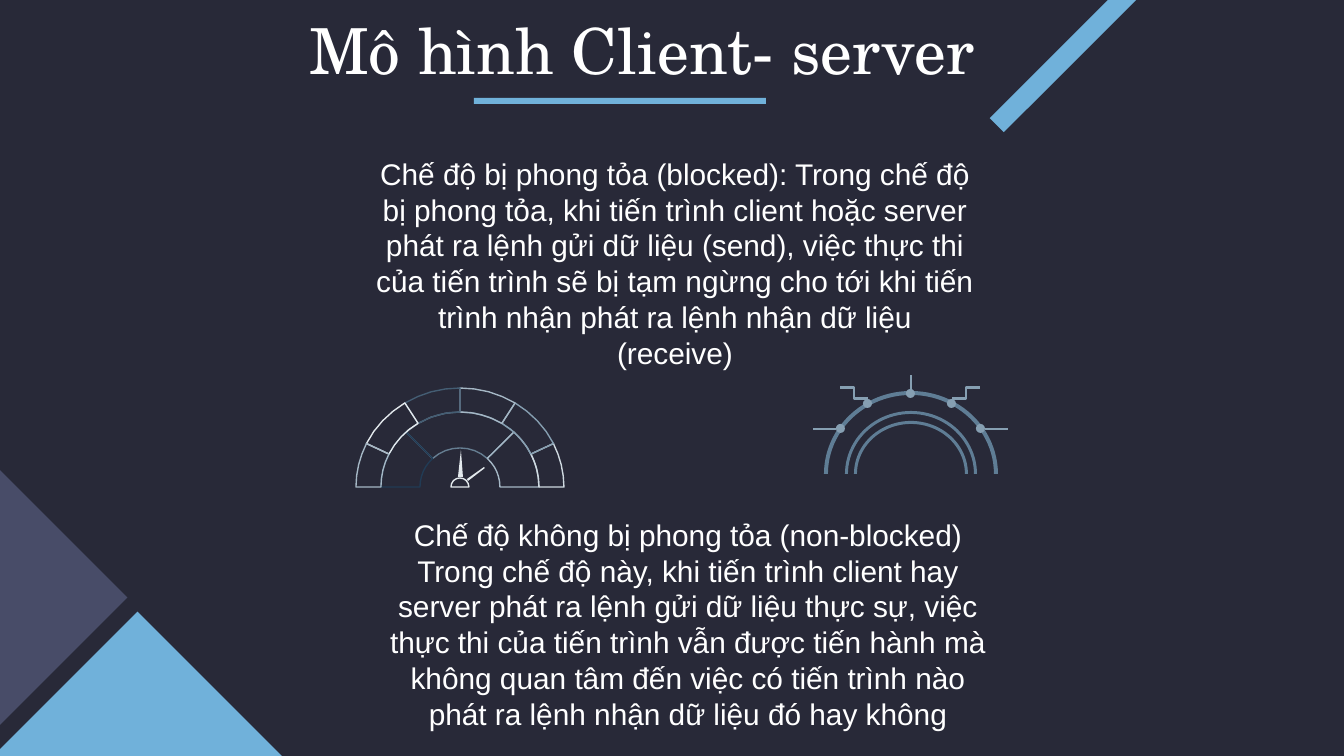
import math
import pptx
import pptx.util
import pptx.dml.color
import pptx.enum.shapes
import pptx.enum.text
import pptx.oxml.ns

RGBColor = pptx.dml.color.RGBColor
SHAPE = pptx.enum.shapes.MSO_SHAPE
CONNECTOR = pptx.enum.shapes.MSO_CONNECTOR
PX = 9144000 / 1344

NAVY = RGBColor(0x28, 0x29, 0x38)
PURPLE = RGBColor(0x48, 0x4C, 0x68)
BLUE = RGBColor(0x70, 0xB1, 0xDA)
WHITE = RGBColor(0xFF, 0xFF, 0xFF)
ARCH = RGBColor(0x5F, 0x7D, 0x95)
NODE = RGBColor(0x86, 0x9F, 0xB2)
ICE = RGBColor(0xE3, 0xE9, 0xED)
PALE = RGBColor(0xCF, 0xD9, 0xE0)
MIST = RGBColor(0xA5, 0xB7, 0xC5)
STEEL = RGBColor(0x86, 0x9F, 0xB1)
SLATE = RGBColor(0x66, 0x7E, 0x92)
DUSK = RGBColor(0x44, 0x5D, 0x73)
DEEP = RGBColor(0x21, 0x3B, 0x55)


def px(*lengths):
    return [round(length * PX) for length in lengths]


def outline(points, fill=None, line=None):
    """Draw a closed polygon in px, precise to a tenth."""
    tenths = [(x * 10, y * 10) for x, y in points]
    builder = page.shapes.build_freeform(*tenths[0], scale=PX / 10)
    builder.add_line_segments(tenths[1:], close=True)
    shape = builder.convert_to_shape()
    shape.shadow.inherit = False
    if fill is None:
        shape.fill.background()
    else:
        shape.fill.solid()
        shape.fill.fore_color.rgb = fill
    if line is None:
        shape.line.fill.background()
    else:
        shape.line.color.rgb = line
        shape.line.width = pptx.util.Pt(0.75)


deck = pptx.Presentation()
deck.slide_width, deck.slide_height = px(1344, 756)
page = deck.slides.add_slide(deck.slide_layouts[6])
page.background.fill.solid()
page.background.fill.fore_color.rgb = NAVY

# Corner decorations, title underline, arches and the nodes on the outer arch
nodes = [(868, 404), (952, 404), (911, 394), (841, 429), (981, 429)]
solids = [
    (SHAPE.RECTANGLE, -277, 430, 335, 335, 45, PURPLE),
    (SHAPE.RECTANGLE, -30, 681, 335, 335, 45, BLUE),
    (SHAPE.RECTANGLE, 1090, -124, 20, 292, 45, BLUE),
    (SHAPE.RECTANGLE, 474, 98, 292, 6, 0, BLUE),
    (SHAPE.BLOCK_ARC, 824, 391, 174, 166, 0, ARCH),
    (SHAPE.BLOCK_ARC, 845, 411, 132, 126, 0, ARCH),
    (SHAPE.BLOCK_ARC, 854, 421, 114, 106, 0, ARCH),
] + [(SHAPE.OVAL, x - 5, y - 5, 9, 9, 0, NODE) for x, y in nodes]
for kind, left, top, width, height, angle, color in solids:
    shape = page.shapes.add_shape(kind, *px(left, top, width, height))
    shape.rotation = angle
    shape.shadow.inherit = False
    shape.fill.solid()
    shape.fill.fore_color.rgb = color
    shape.line.fill.background()
    if kind == SHAPE.BLOCK_ARC:
        thickness = 4 if width > 150 else 3
        shape.adjustments[2] = thickness / height

# Title and the two descriptions
LEFT, CENTER = pptx.enum.text.PP_ALIGN.LEFT, pptx.enum.text.PP_ALIGN.CENTER
TOP, BOTTOM = pptx.enum.text.MSO_ANCHOR.TOP, pptx.enum.text.MSO_ANCHOR.BOTTOM
texts = [
    (296, 31, 712, 70, "TeX Gyre Schola", 34, LEFT, BOTTOM,
     "Mô hình Client- server"),
    (363, 142, 624, 54, "Arial", 16, CENTER, TOP,
     "Chế độ bị phong tỏa (blocked): Trong chế độ bị phong tỏa, khi tiến trình "
     "client hoặc server phát ra lệnh gửi dữ liệu (send), việc thực thi của tiến "
     "trình sẽ bị tạm ngừng cho tới khi tiến trình nhận phát ra lệnh nhận dữ liệu "
     "(receive)"),
    (376, 503, 624, 54, "Arial", 16, CENTER, TOP,
     "Chế độ không bị phong tỏa (non-blocked) Trong chế độ này, khi tiến trình "
     "client hay server phát ra lệnh gửi dữ liệu thực sự, việc thực thi của tiến "
     "trình vẫn được tiến hành mà không quan tâm đến việc có tiến trình nào phát "
     "ra lệnh nhận dữ liệu đó hay không"),
]
for left, top, width, height, font, size, align, anchor, words in texts:
    box = page.shapes.add_textbox(*px(left, top, width, height))
    frame = box.text_frame
    frame.word_wrap = True
    frame.vertical_anchor = anchor
    frame.margin_left = frame.margin_right = pptx.util.Inches(0.1)
    frame.margin_top = frame.margin_bottom = pptx.util.Inches(0.1)
    para = frame.paragraphs[0]
    para.text = words
    para.alignment = align
    para.font.name = font
    para.font.size = pptx.util.Pt(size)
    para.font.color.rgb = WHITE

# Gauge bands: outer radii, inner radii, start and end angle, line
rim, middle, hub, dome, pivot = (104, 99), (79, 75), (40, 39), (9, 9), (0, 0)
bands = [
    (middle, hub, 47, 133, SLATE),
    (middle, hub, 133, 180, DEEP),
    (middle, hub, 0, 47, MIST),
    (rim, middle, 0, 26, PALE),
    (rim, middle, 26, 58, STEEL),
    (rim, middle, 58, 90, MIST),
    (rim, middle, 90, 122, DUSK),
    (rim, middle, 122, 154, ICE),
    (rim, middle, 154, 180, MIST),
    (dome, pivot, 0, 180, ICE),
]
for outer, inner, start, end, line in bands:
    steps = min(8, math.ceil((end - start) / 8))
    angles = [math.radians(start + (end - start) * i / steps) for i in range(steps + 1)]
    edges = [(outer, a) for a in angles]
    if inner != pivot:
        edges += [(inner, a) for a in reversed(angles)]
    outline([(460 + rx * math.cos(a), 487 - ry * math.sin(a)) for (rx, ry), a in edges],
            line=line)

# Gauge needles
outline([(461, 450), (458, 477), (463, 477)], fill=ICE)
outline([(484, 467), (467, 479), (468, 481), (485, 468)], fill=ICE)

# Leads from the nodes
leads = [
    (CONNECTOR.ELBOW, 868, 399, 840, 388),
    (CONNECTOR.ELBOW, 952, 399, 980, 388),
    (CONNECTOR.STRAIGHT, 911, 390, 911, 375),
    (CONNECTOR.STRAIGHT, 836, 429, 813, 429),
    (CONNECTOR.STRAIGHT, 985, 429, 1008, 429),
]
for kind, *ends in leads:
    lead = page.shapes.add_connector(kind, *px(*ends))
    lead.line.color.rgb = NODE
    lead.line.width = pptx.util.Pt(1.5)
    properties = lead._element.spPr
    properties.append(properties.makeelement(pptx.oxml.ns.qn("a:effectLst"), {}))

deck.save("out.pptx")
